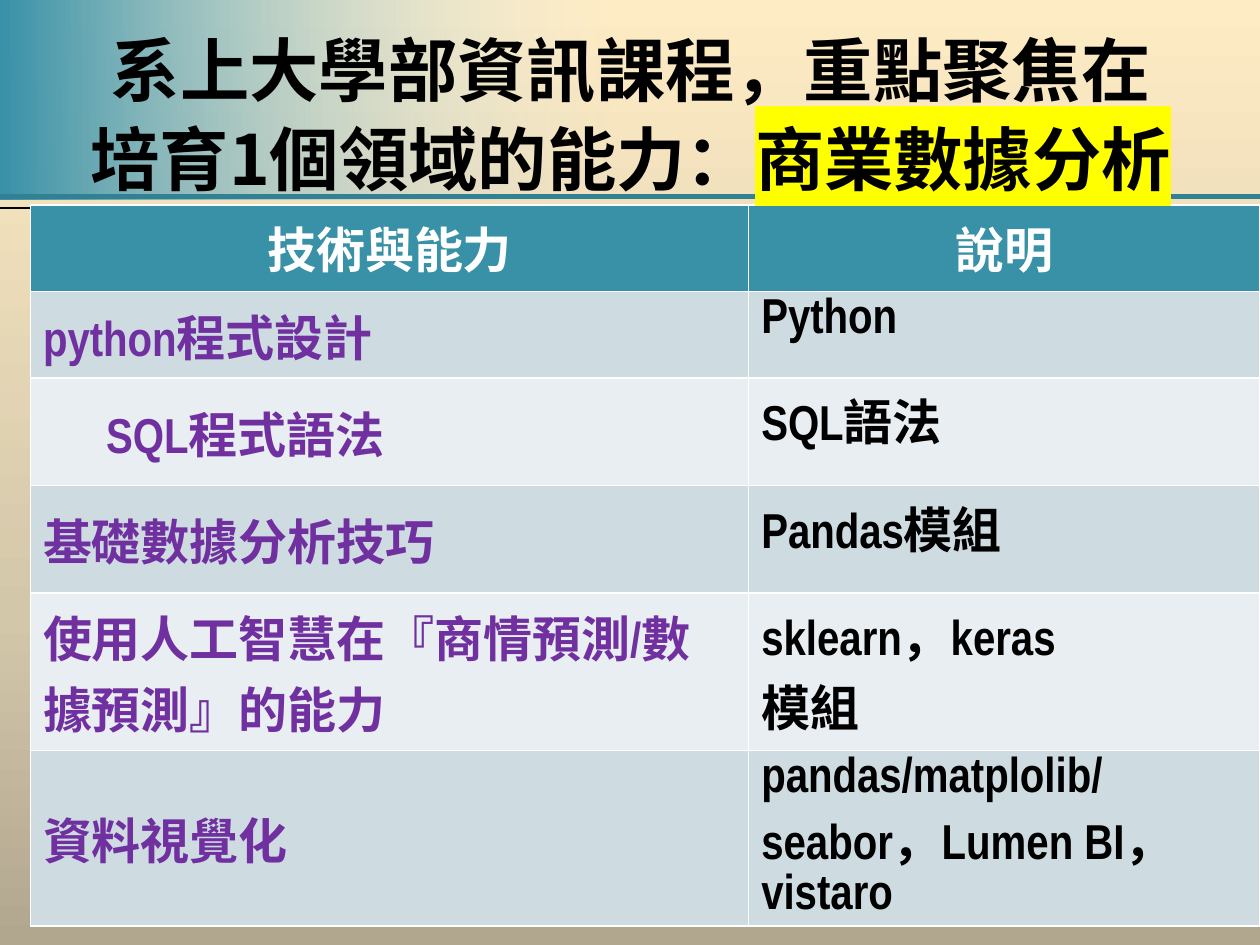
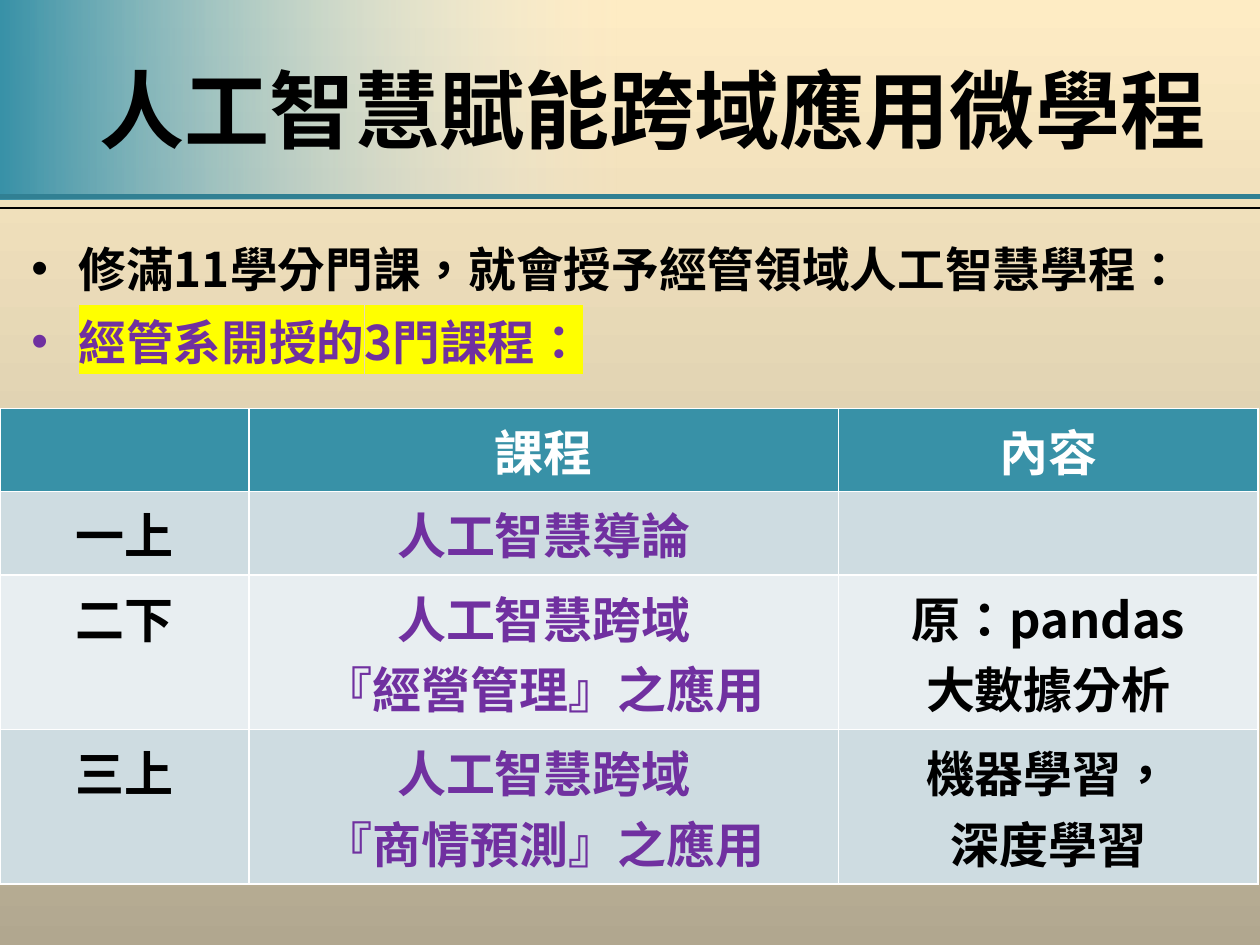
from dataclasses import dataclass

from lxml.etree import SubElement
from pptx import Presentation
from pptx.dml.color import RGBColor
from pptx.enum.lang import MSO_LANGUAGE_ID as Language
from pptx.enum.shapes import MSO_CONNECTOR as Connector, MSO_SHAPE as Shape
from pptx.enum.text import MSO_ANCHOR as Anchor, PP_ALIGN as Align
from pptx.oxml.ns import qn
from pptx.util import Pt


@dataclass(frozen=True)
class Theme:
    """Colours, fonts and type sizes of the deck."""
    teal: str = "3891A7"
    rule: str = "318093"
    band_dark: str = "CEDCE1"
    band_light: str = "E8EEF1"
    ink: str = "000000"
    purple: str = "7030A0"
    white: str = "FFFFFF"
    marker: str = "FFFF00"
    sand: tuple = ((0, "B1A78F", 100), (35, "D3C7AA", 100), (100, "FEECC4", 100))
    fade: tuple = ((0, "3891A7", 100), (49, "E8EEF1", 0))
    font: str = "Noto Sans CJK SC"
    narrow: str = "Arial Narrow"
    title_long: float = 39.6
    title_short: float = 48.6
    body: float = 27.2
    cell: float = 28


THEME = Theme()
WIDTH, HEIGHT = 720, 540


@dataclass(frozen=True)
class Column:
    """Width and text format of one table column."""
    width: float
    color: str = THEME.ink
    font: str = THEME.font
    align: Align = Align.CENTER
    anchor: Anchor = Anchor.TOP


def apply(target, **values):
    """Set attributes from format values."""
    for name, value in values.items():
        setattr(target, name, value)


def paint_gradient(fill, owner, stops, angle):
    """Give a fill a linear gradient of (position, colour, opacity) stops."""
    fill.gradient()
    gradient = owner.find(".//" + qn("a:gradFill"))
    for child in list(gradient):
        gradient.remove(child)
    stop_list = SubElement(gradient, qn("a:gsLst"))
    for position, color, opacity in stops:
        stop = SubElement(stop_list, qn("a:gs"), pos=str(position * 1000))
        tint = SubElement(stop, qn("a:srgbClr"), val=color)
        if opacity < 100:
            SubElement(tint, qn("a:alpha"), val=str(opacity * 1000))
    SubElement(gradient, qn("a:lin"), ang=str(angle * 60000), scaled="0")


def add_span(para, text, size, color=THEME.ink, font=THEME.font, marker=None, language=None):
    """Add one bold run, optionally highlighted."""
    span = para.add_run()
    span.text = text
    apply(span.font, size=Pt(size), bold=True, name=font)
    if language:
        span.font.language_id = language
    span.font.color.rgb = RGBColor.from_string(color)
    props = span._r.get_or_add_rPr()
    if marker:
        highlight = SubElement(props, qn("a:highlight"))
        SubElement(highlight, qn("a:srgbClr"), val=marker)
        props.find(qn("a:solidFill")).addnext(highlight)
    east_asian = SubElement(props, qn("a:ea"), typeface=THEME.font)
    props.find(qn("a:latin")).addnext(east_asian)


def add_chinese(para, text, size, **format_values):
    """Add traditional Chinese text, leaving colons in the default form."""
    for part in filter(None, text.partition("：")):
        language = None if part == "：" else Language.TRADITIONAL_CHINESE
        add_span(para, part, size, language=language, **format_values)


def add_frame(page, box, anchor):
    """Add a wrapping text box and return its text frame."""
    frame = page.shapes.add_textbox(*map(Pt, box)).text_frame
    apply(frame, word_wrap=True, vertical_anchor=anchor)
    return frame


def add_rule(page, top, color, weight):
    """Draw a full-width horizontal line."""
    line = page.shapes.add_connector(Connector.STRAIGHT, 0, Pt(top), Pt(WIDTH), Pt(top))
    line.line.color.rgb = RGBColor.from_string(color)
    line.line.width = Pt(weight)
    SubElement(line.element.spPr, qn("a:effectLst"))


def add_page(deck):
    """Add a blank page with the shared background, band and rules."""
    page = deck.slides.add_slide(deck.slide_layouts[6])
    paint_gradient(page.background.fill, page.element, THEME.sand, 270)
    band = page.shapes.add_shape(Shape.RECTANGLE, 0, 0, Pt(WIDTH), Pt(113.8))
    band.shadow.inherit = False
    band.line.fill.background()
    paint_gradient(band.fill, band.element, THEME.fade, 0)
    add_rule(page, 112.3, THEME.rule, 3)
    add_rule(page, 118.8, THEME.ink, 1.25)
    return page


def add_title(page, box, size, lines, spacing=None):
    """Place a centred title; each line is a list of (text, marker) spans."""
    para = add_frame(page, box, Anchor.MIDDLE).paragraphs[0]
    apply(para, alignment=Align.CENTER, line_spacing=spacing)
    for index, line in enumerate(lines):
        if index:
            para.add_line_break()
        for text, marker in line:
            add_span(para, text, size, marker=marker)


def apply_indent(props, left, first=0):
    """Set the left margin and first-line indent of a paragraph."""
    props.set("marL", str(Pt(left)))
    props.set("indent", str(Pt(first)))


def add_bullets(page, box, items):
    """Place a bulleted list of (text, colour, marker) items."""
    frame = add_frame(page, box, Anchor.TOP)
    for index, (text, color, marker) in enumerate(items):
        para = frame.add_paragraph() if index else frame.paragraphs[0]
        apply(para, line_spacing=Pt(32.3), space_before=Pt(5.4), space_after=Pt(4))
        props = para._p.get_or_add_pPr()
        apply_indent(props, 27, -27)
        SubElement(props, qn("a:buFont"), typeface="Arial")
        SubElement(props, qn("a:buChar"), char="•")
        add_chinese(para, text, THEME.body, color=color, marker=marker)


def style_cell(cell, fill):
    """Give a cell white borders and a solid fill."""
    props = cell._tc.get_or_add_tcPr()
    for side in "LRTB":
        border = SubElement(props, qn("a:ln" + side), w=str(Pt(1)))
        solid = SubElement(border, qn("a:solidFill"))
        SubElement(solid, qn("a:srgbClr"), val=THEME.white)
    cell.fill.solid()
    cell.fill.fore_color.rgb = RGBColor.from_string(fill)


def fill_cell(cell, text, write, align, indent=0, **format_values):
    """Write each line of text as one paragraph of a cell."""
    frame = cell.text_frame
    for index, line in enumerate(text.split("\n") if text else []):
        para = frame.add_paragraph() if index else frame.paragraphs[0]
        para.alignment = align
        if indent:
            para.level = 1
            apply_indent(para._p.get_or_add_pPr(), indent)
        write(para, line, THEME.cell, **format_values)


def add_grid(page, left, top, columns, heights, rows, indents=None, write=add_span):
    """Place a table with a teal header and two alternating row colours."""
    indents = indents or {}
    box = (left, top, sum(column.width for column in columns), sum(heights))
    table = page.shapes.add_table(len(rows), len(columns), *map(Pt, box)).table
    table.horz_banding = False
    for column, spec in zip(table.columns, columns):
        column.width = Pt(spec.width)
    for r, (height, texts) in enumerate(zip(heights, rows)):
        table.rows[r].height = Pt(height)
        band = THEME.band_dark if r % 2 else THEME.band_light
        for c, (text, column) in enumerate(zip(texts, columns)):
            cell = table.cell(r, c)
            if r == 0:
                style_cell(cell, THEME.teal)
                fill_cell(cell, text, write, Align.CENTER, color=THEME.white)
            else:
                style_cell(cell, band)
                cell.vertical_anchor = column.anchor
                fill_cell(cell, text, write, column.align, indents.get((r, c), 0),
                          color=column.color, font=column.font)


def build_skills_page(deck):
    """Build the page on skills and the tools taught for them."""
    page = add_page(deck)
    columns = [
        Column(410.4, THEME.purple, THEME.narrow, Align.LEFT, Anchor.MIDDLE),
        Column(292.3, THEME.ink, THEME.narrow, Align.LEFT),
    ]
    rows = [
        ("技術與能力", "說明"),
        ("python程式設計", "Python"),
        ("SQL程式語法", "SQL語法"),
        ("基礎數據分析技巧", "Pandas模組"),
        ("使用人工智慧在『商情預測/數據預測』的能力", "sklearn，keras\n模組"),
        ("資料視覺化", "pandas/matplolib/seabor，Lumen BI，vistaro"),
    ]
    add_grid(page, 17.4, 117.2, columns, [49.4, 49.4, 61.4, 61.4, 90.2, 100], rows,
             indents={(2, 0): 36})
    add_title(page, (17.3, 13.4, 686.2, 99.4), THEME.title_long, [
        [("系上大學部資訊課程，重點聚焦在", None)],
        [("培育1個領域的能力：", None), ("商業數據分析", THEME.marker)],
    ], spacing=Pt(51))


def build_program_page(deck):
    """Build the page on the micro-program and its three courses."""
    page = add_page(deck)
    add_bullets(page, (10.8, 133.9, 698.4, 99.4), [
        ("修滿11學分門課，就會授予經管領域人工智慧學程：", THEME.ink, None),
        ("經管系開授的3門課程：", THEME.purple, THEME.marker),
    ])
    add_title(page, (36, 12.2, 673.2, 99.4), THEME.title_short,
              [[("人工智慧賦能跨域應用微學程", None)]])
    columns = [Column(142.4), Column(336.8, THEME.purple), Column(239.8)]
    rows = [
        ("", "課程", "內容"),
        ("一上", "人工智慧導論", ""),
        ("二下", "人工智慧跨域\n『經營管理』之應用", "原：pandas\n大數據分析"),
        ("三上", "人工智慧跨域\n『商情預測』之應用", "機器學習，\n深度學習"),
    ]
    add_grid(page, 0, 233.3, columns, [47.7, 47.7, 88.2, 88.2], rows, write=add_chinese)


def main():
    """Build and save the deck."""
    deck = Presentation()
    apply(deck, slide_width=Pt(WIDTH), slide_height=Pt(HEIGHT))
    build_skills_page(deck)
    build_program_page(deck)
    deck.save("out.pptx")


main()
